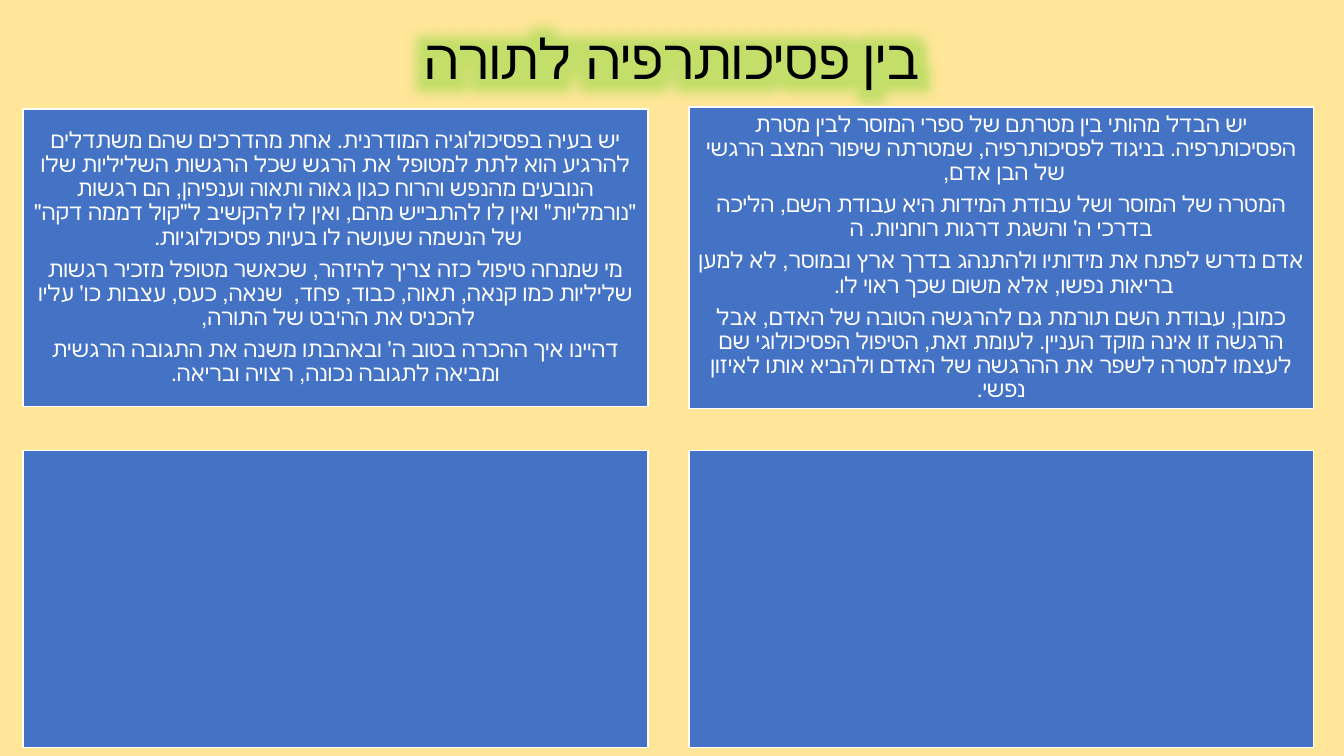
"""Build the Hebrew slide comparing psychotherapy and Torah."""
import pptx
import pptx.dml.color
import pptx.enum.shapes
import pptx.enum.text
import pptx.oxml
import pptx.oxml.ns
import pptx.util

PX = 9525
COLORS = {"background": "FFE699", "panel": "4472C4", "white": "FFFFFF",
          "title": "000000", "glow": "69D321"}
PANEL_WIDTH = 595
INSET = 7
TITLE = "בין פסיכותרפיה לתורה"
MODERN = [
    "יש בעיה בפסיכולוגיה המודרנית. אחת מהדרכים שהם משתדלים להרגיע הוא לתת למטופל את הרגש שכל הרגשות השליליות שלו הנובעים מהנפש והרוח כגון גאוה ותאוה וענפיהן, הם רגשות \"נורמליות\" ואין לו להתבייש מהם, ואין לו להקשיב ל\"קול דממה דקה\" של הנשמה שעושה לו בעיות פסיכולוגיות. ",
    "מי שמנחה טיפול כזה צריך להיזהר, שכאשר מטופל מזכיר רגשות שליליות כמו קנאה, תאוה, כבוד, פחד,  שנאה, כעס, עצבות כו' עליו להכניס את ההיבט של התורה, ",
    "דהיינו איך ההכרה בטוב ה' ובאהבתו משנה את התגובה הרגשית ומביאה לתגובה נכונה, רצויה ובריאה.",
]
MUSSAR = [
    "יש הבדל מהותי בין מטרתם של ספרי המוסר לבין מטרת הפסיכותרפיה. בניגוד לפסיכותרפיה, שמטרתה שיפור המצב הרגשי של הבן אדם, ",
    "המטרה של המוסר ושל עבודת המידות היא עבודת השם, הליכה בדרכי ה' והשגת דרגות רוחניות. ה",
    "אדם נדרש לפתח את מידותיו ולהתנהג בדרך ארץ ובמוסר, לא למען בריאות נפשו, אלא משום שכך ראוי לו. ",
    "כמובן, עבודת השם תורמת גם להרגשה הטובה של האדם, אבל הרגשה זו אינה מוקד העניין. לעומת זאת, הטיפול הפסיכולוגי שם לעצמו למטרה לשפר את ההרגשה של האדם ולהביא אותו לאיזון נפשי.",
]
PANELS = [(22, 104, 283, MODERN), (656, 102, 287, MUSSAR),
          (22, 429, 283, []), (656, 429, 283, [])]


def color(name):
    return pptx.dml.color.RGBColor.from_string(COLORS[name])


def write_hebrew(para, text, size, color_name):
    para.alignment = pptx.enum.text.PP_ALIGN.CENTER
    para.line_spacing = 0.9
    para._p.get_or_add_pPr().set("rtl", "1")
    span = para.add_run()
    span.text = text
    span.font.size = pptx.util.Pt(size)
    span.font.name = "Calibri"
    span.font.color.rgb = color(color_name)
    properties = span._r.get_or_add_rPr()
    properties.set("lang", "he-IL")
    return properties


deck = pptx.Presentation()
deck.slide_width = 1280 * PX
deck.slide_height = 720 * PX
page = deck.slides.add_slide(deck.slide_layouts[5])
page.background.fill.solid()
page.background.fill.fore_color.rgb = color("background")

title = page.shapes.title
title.left, title.top, title.width, title.height = 88 * PX, 38 * PX, 1104 * PX, 42 * PX
title.text_frame.auto_size = pptx.enum.text.MSO_AUTO_SIZE.NONE
title.text_frame.vertical_anchor = pptx.enum.text.MSO_ANCHOR.MIDDLE
title_properties = write_hebrew(title.text_frame.paragraphs[0], TITLE, 39.6, "title")
effects = pptx.oxml.parse_xml(
    f'<a:effectLst {pptx.oxml.ns.nsdecls("a")}><a:glow rad="{48 * PX}">'
    f'<a:srgbClr val="{COLORS["glow"]}"><a:alpha val="40000"/></a:srgbClr>'
    '</a:glow></a:effectLst>')
title_properties.find(pptx.oxml.ns.qn("a:solidFill")).addnext(effects)

for left, top, height, texts in PANELS:
    panel = page.shapes.add_shape(
        pptx.enum.shapes.MSO_SHAPE.RECTANGLE,
        left * PX, top * PX, PANEL_WIDTH * PX, height * PX)
    panel.shadow.inherit = False
    panel.fill.solid()
    panel.fill.fore_color.rgb = color("panel")
    panel.line.color.rgb = color("white")
    panel.line.width = pptx.util.Pt(1)
    frame = panel.text_frame
    frame.word_wrap = True
    frame.vertical_anchor = pptx.enum.text.MSO_ANCHOR.MIDDLE
    frame.margin_left = frame.margin_right = INSET * PX
    frame.margin_top = frame.margin_bottom = INSET * PX
    for index, text in enumerate(texts):
        para = frame.add_paragraph() if index else frame.paragraphs[0]
        para.space_after = pptx.util.Pt(5.6)
        write_hebrew(para, text, 16, "white")

deck.save("out.pptx")
